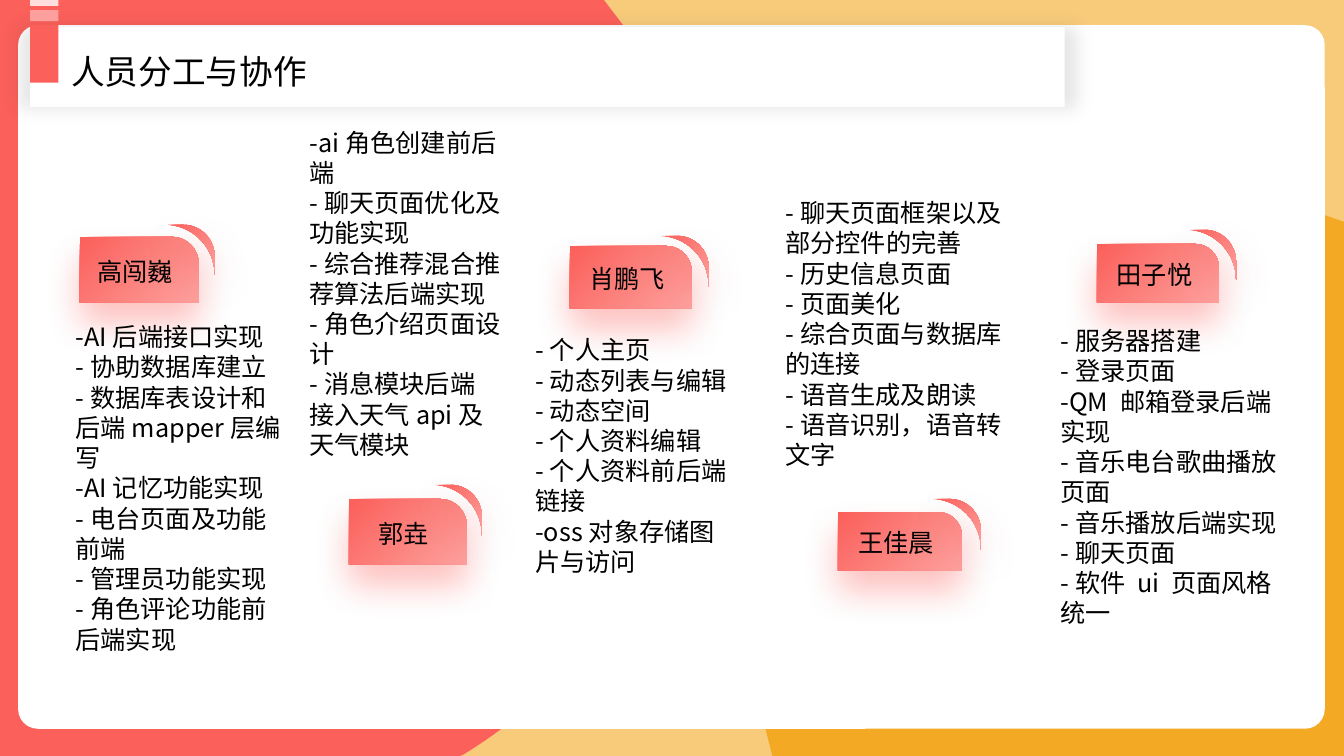
from lxml import etree
from pptx import Presentation
from pptx.dml.color import RGBColor
from pptx.enum.shapes import MSO_SHAPE
from pptx.enum.text import MSO_ANCHOR, PP_ALIGN
from pptx.oxml.ns import qn
from pptx.util import Inches, Pt

RECT = MSO_SHAPE.RECTANGLE
ROUNDED = MSO_SHAPE.ROUNDED_RECTANGLE
ONE_ROUND_CORNER = MSO_SHAPE.ROUND_1_RECTANGLE
CENTER = PP_ALIGN.CENTER
MIDDLE = MSO_ANCHOR.MIDDLE

FONT = "Noto Sans CJK SC"
BLACK, WHITE = "000000", "FFFFFF"
RED, PINK, PALE_PINK = "FB605B", "FDA09D", "FEDFDE"
SAND, AMBER = "F8CB7B", "F3A923"
TAG_SHADOW = ("F90F08", 25, 26, 15, 90, 100)
TITLE_SHADOW = (BLACK, 10, 13, 0, 0, 102)

# Outlines: a pair is a line end, a six-number tuple is a cubic curve.
AMBER_BLOB = [(11.79, 1.92), (12.31, 1.92, 12.81, 2.01, 13.27, 2.18),
              (13.33, 2.2), (13.33, 7.5), (7.66, 7.5), (7.56, 7.1),
              (7.5, 6.82, 7.47, 6.53, 7.47, 6.23),
              (7.47, 3.85, 9.41, 1.92, 11.79, 1.92)]
RED_BLOB = [(0, 0), (5.99, 0), (6.18, 0.25),
            (6.73, 1.06, 7.05, 2.05, 7.05, 3.11),
            (7.05, 4.96, 6.06, 6.59, 4.59, 7.49), (4.56, 7.5), (0, 7.5)]
CRESCENT = [(0, 0), (0.19, 0), (0.36, 0, 0.5, 0.14, 0.5, 0.32),
            (0.5, 0.5), (0.5, 0.22, 0.28, 0, 0, 0)]

# Name, tag box, crescent corner, task box, tasks
MEMBERS = [
    ("高闯巍", (0.79, 2.35, 1.18, 0.65), (1.63, 2.23), (0.65, 3.14, 2.29, 3.74),
     ["-AI后端接口实现", "-协助数据库建立", "-数据库表设计和后端mapper层编写",
      "-AI记忆功能实现", "-电台页面及功能前端", "-管理员功能实现",
      "-角色评论功能前后端实现"]),
    ("郭垚", (3.46, 4.95, 1.17, 0.65), (4.28, 4.81), (2.97, 1.21, 2.17, 3.43),
     ["-ai角色创建前后端", "-聊天页面优化及功能实现",
      "-综合推荐混合推荐算法后端实现", "-角色介绍页面设计",
      "-消息模块后端", "接入天气api及天气模块"]),
    ("肖鹏飞", (5.65, 2.44, 1.21, 0.62), (6.53, 2.34), (5.21, 3.27, 2.21, 2.52),
     ["-个人主页", "-动态列表与编辑", "-动态空间", "-个人资料编辑",
      "-个人资料前后端链接", "-oss对象存储图片与访问"]),
    ("王佳晨", (8.31, 5.08, 1.23, 0.58), (9.23, 4.95), (7.69, 1.91, 2.47, 2.3),
     ["-聊天页面框架以及部分控件的完善", "-历史信息页面", "-页面美化",
      "-综合页面与数据库的连接", "-语音生成及朗读", "-语音识别，语音转文字"]),
    ("田子悦", (10.88, 2.42, 1.21, 0.58), (11.76, 2.28), (10.42, 3.18, 2.48, 3.13),
     ["-服务器搭建", "-登录页面", "-QM 邮箱登录后端实现",
      "-音乐电台歌曲播放页面", "-音乐播放后端实现", "-聊天页面",
      "-软件 ui 页面风格统一"]),
]


def rgb(color):
    return RGBColor.from_string(color)


def add_shadow(shape, color, opacity, blur, distance, angle, scale):
    """Opacity and scale in percent, blur and distance in points, angle in degrees."""
    effects = shape._element.spPr.find(qn("a:effectLst"))
    outer = etree.SubElement(effects, qn("a:outerShdw"), {
        "blurRad": str(Pt(blur)), "dist": str(Pt(distance)),
        "dir": str(angle * 60000), "sx": str(scale * 1000),
        "sy": str(scale * 1000), "algn": "ctr", "rotWithShape": "0"})
    tone = etree.SubElement(outer, qn("a:srgbClr"), val=color)
    etree.SubElement(tone, qn("a:alpha"), val=str(opacity * 1000))


def paint(shape, color=None, shadow=None):
    """Fill with one colour, or with the red gradient when none is given."""
    shape.shadow.inherit = False
    shape.line.fill.background()
    if color:
        shape.fill.solid()
        shape.fill.fore_color.rgb = rgb(color)
    else:
        shape.fill.gradient()
        shape.fill.gradient_angle = 315
        stops = zip(shape.fill.gradient_stops, (0.01, 1), (RED, PINK))
        for stop, position, tone in stops:
            stop.position = position
            stop.color.rgb = rgb(tone)
    if shadow:
        add_shadow(shape, *shadow)


def add_block(slide, kind, box, color=None, shadow=None, corner=None):
    block = slide.shapes.add_shape(kind, *map(Inches, box))
    if corner is not None:
        block.adjustments[0] = corner
    paint(block, color, shadow)
    return block


def bend(shape, outline):
    """Join the three line segments of each curve into one cubic curve."""
    segments = iter(list(shape._element.iter(qn("a:lnTo"))))
    for part in outline[1:]:
        first = next(segments)
        if len(part) == 6:
            first.tag_name = None
            curve = etree.Element(qn("a:cubicBezTo"))
            first.addprevious(curve)
            for segment in (first, next(segments), next(segments)):
                curve.append(segment[0])
                segment.getparent().remove(segment)


def add_outline(slide, outline, color=None, shadow=None, corner=(0, 0)):
    left, top = corner
    points = [(Inches(left + part[i]), Inches(top + part[i + 1]))
              for part in outline for i in range(0, len(part), 2)]
    builder = slide.shapes.build_freeform(*points[0])
    builder.add_line_segments(points[1:], close=True)
    shape = builder.convert_to_shape()
    bend(shape, outline)
    paint(shape, color, shadow)


def write(frame, lines, size=18, spacing=None, align=None):
    frame.word_wrap = True
    for index, line in enumerate(lines):
        paragraph = frame.add_paragraph() if index else frame.paragraphs[0]
        paragraph.line_spacing = spacing
        paragraph.alignment = align
        run = paragraph.add_run()
        run.text = line
        run.font.size = Pt(size)
        run.font.color.rgb = rgb(BLACK)
        run.font.name = FONT
        etree.SubElement(run.font._element, qn("a:ea"), typeface=FONT)


def add_text(slide, box, lines, **style):
    write(slide.shapes.add_textbox(*map(Inches, box)).text_frame, lines, **style)


def add_name_tag(slide, name, box, crescent_corner):
    tag = add_block(slide, ONE_ROUND_CORNER, box, shadow=TAG_SHADOW, corner=0.405)
    frame = tag.text_frame
    frame.margin_left = frame.margin_right = Inches(0.05)
    frame.margin_top = frame.margin_bottom = Inches(0.03)
    frame.vertical_anchor = MIDDLE
    write(frame, [name], spacing=1.1, align=CENTER)
    add_outline(slide, CRESCENT, shadow=TAG_SHADOW, corner=crescent_corner)


def add_background(slide):
    add_block(slide, RECT, (0, 0, 13.33, 7.5), SAND)
    add_outline(slide, AMBER_BLOB, AMBER)
    add_outline(slide, RED_BLOB, RED)
    add_block(slide, ROUNDED, (0.18, 0.25, 12.96, 6.98), WHITE, corner=0.028)


def add_title(slide):
    add_block(slide, RECT, (0.3, 0.27, 10.26, 0.79), WHITE, TITLE_SHADOW)
    add_text(slide, (0.61, 0.42, 8.82, 0.5), ["人员分工与协作"], size=24, spacing=1.1)
    for top, height, color in ((0.25, 0.57, RED), (0.1, 0.11, PINK), (0, 0.06, PALE_PINK)):
        add_block(slide, RECT, (0.3, top, 0.28, height), color)


def main():
    deck = Presentation()
    deck.slide_width, deck.slide_height = Inches(13.33), Inches(7.5)
    slide = deck.slides.add_slide(deck.slide_layouts[6])
    add_background(slide)
    add_title(slide)
    for name, tag_box, crescent_corner, task_box, tasks in MEMBERS:
        add_name_tag(slide, name, tag_box, crescent_corner)
        add_text(slide, task_box, tasks)
    deck.save("out.pptx")


if __name__ == "__main__":
    main()
